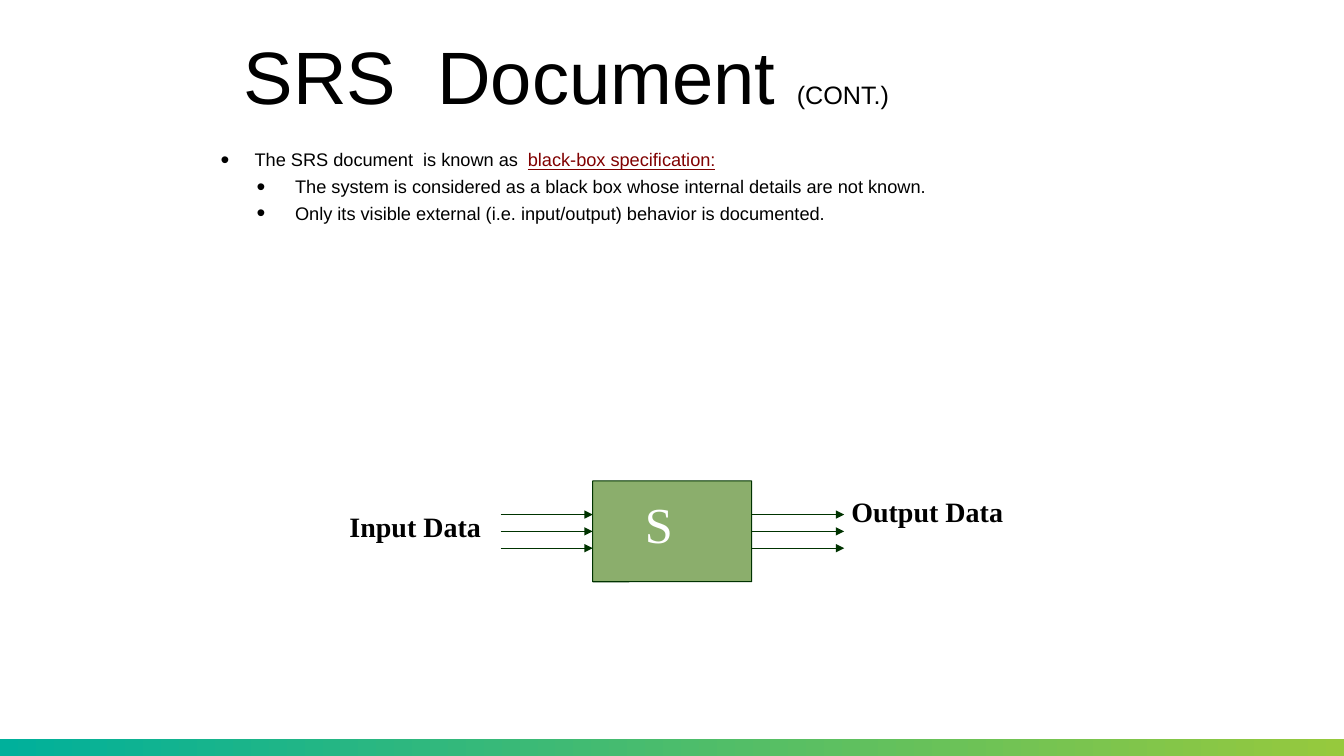
from dataclasses import dataclass

from lxml import etree
from pptx import Presentation
from pptx.dml.color import RGBColor
from pptx.enum import shapes, text
from pptx.oxml.ns import qn
from pptx.util import Cm, Pt


@dataclass(frozen=True)
class Theme:
    """Colours, fonts and type sizes of the slide."""
    ink: str = "000000"
    accent: str = "800000"
    line: str = "003300"
    system: str = "8BAE6C"
    white: str = "FFFFFF"
    bar: tuple = ("00B09B", "96C93D")
    sans: str = "Arial"
    serif: str = "Times New Roman"
    title: int = 53
    suffix: int = 18
    body: int = 13
    label: int = 20
    symbol: int = 36


THEME = Theme()


def rgb(value):
    """Turn a hex string into a colour."""
    return RGBColor.from_string(value)


def place(shape, left, top, width, height):
    """Position a shape, in centimetres."""
    shape.left, shape.top, shape.width, shape.height = map(Cm, (left, top, width, height))


def set_frame(frame, anchor=text.MSO_ANCHOR.TOP):
    """Give a text frame the shared margins and wrapping."""
    frame.word_wrap = True
    frame.auto_size = text.MSO_AUTO_SIZE.NONE
    frame.vertical_anchor = anchor
    frame.margin_left = frame.margin_right = Cm(0.05)
    frame.margin_top = frame.margin_bottom = Cm(0.13)


def style(para, font, size, color, spacing, before=0):
    """Set paragraph spacing and font."""
    para.alignment = text.PP_ALIGN.LEFT
    para.line_spacing = spacing
    para.space_before = Pt(before)
    para.font.name = font
    para.font.size = Pt(size)
    para.font.color.rgb = rgb(color)


def add_bullet(para, margin, hanging):
    """Give a paragraph a round bullet with a hanging indent."""
    props = para._p.get_or_add_pPr()
    props.set("marL", str(Cm(margin)))
    props.set("indent", str(-Cm(hanging)))
    color = etree.SubElement(props, qn("a:buClr"))
    etree.SubElement(color, qn("a:srgbClr"), val=THEME.ink)
    etree.SubElement(props, qn("a:buSzPct"), val="138000")
    etree.SubElement(props, qn("a:buFont"), typeface=THEME.sans)
    etree.SubElement(props, qn("a:buChar"), char="•")


def add_bar(page, left, top, width, height):
    """Draw the gradient bar at the foot of the page."""
    bar = page.shapes.add_shape(shapes.MSO_SHAPE.RECTANGLE, *map(Cm, (left, top, width, height)))
    bar.shadow.inherit = False
    bar.line.fill.background()
    bar.fill.gradient()
    bar.fill.gradient_angle = 0
    for stop, position, color in zip(bar.fill.gradient_stops, (0, 1), THEME.bar):
        stop.position = position
        stop.color.rgb = rgb(color)


def fill_title(page, *box):
    """Write the title with its small suffix."""
    title = page.shapes.title
    place(title, *box)
    set_frame(title.text_frame, text.MSO_ANCHOR.MIDDLE)
    para = title.text_frame.paragraphs[0]
    style(para, THEME.sans, THEME.title, THEME.ink, 0.9)
    for wording, size in (("SRS  Document ", THEME.title), ("(CONT.)", THEME.suffix)):
        span = para.add_run()
        span.text = wording
        span.font.size = Pt(size)


def fill_body(page, *box):
    """Write the bulleted list."""
    body = page.placeholders[1]
    place(body, *box)
    frame = body.text_frame
    set_frame(frame)
    lines = (
        (0, "The SRS document  is known as  "),
        (1, "The system is considered as a black box whose internal details are not known."),
        (1, "Only its visible external (i.e. input/output) behavior is documented."),
    )
    indents = ((0.86, 0.86), (1.88, 0.97))
    for index, (level, wording) in enumerate(lines):
        para = frame.add_paragraph() if index else frame.paragraphs[0]
        para.level = level
        add_bullet(para, *indents[level])
        style(para, THEME.sans, THEME.body, THEME.ink, 0.9, 4.9 if index else 0)
        para.add_run().text = wording
    term = frame.paragraphs[0].add_run()
    term.text = "black-box specification:"
    term.font.color.rgb = rgb(THEME.accent)
    term.font.underline = True


def add_label(page, wording, box, size, color, bold=False):
    """Add a serif text label."""
    label = page.shapes.add_textbox(*map(Cm, box))
    set_frame(label.text_frame)
    para = label.text_frame.paragraphs[0]
    para.text = wording
    style(para, THEME.serif, size, color, 0.85)
    para.font.bold = bold


def add_arrow(page, left, top, length):
    """Draw a horizontal arrow pointing right."""
    arrow = page.shapes.add_connector(
        shapes.MSO_CONNECTOR.STRAIGHT, Cm(left), Cm(top), Cm(left + length), Cm(top))
    arrow.line.color.rgb = rgb(THEME.line)
    arrow.line.width = Pt(0.75)
    etree.SubElement(arrow.line._get_or_add_ln(), qn("a:tailEnd"), type="triangle")
    etree.SubElement(arrow._element.spPr, qn("a:effectLst"))


def add_diagram(page, left, top, height):
    """Draw the system box with its inputs and outputs."""
    system = page.shapes.add_shape(
        shapes.MSO_SHAPE.ROUNDED_RECTANGLE, Cm(left + 6.18), Cm(top), Cm(4.01), Cm(height))
    system.adjustments[0] = 0.002
    system.shadow.inherit = False
    system.fill.solid()
    system.fill.fore_color.rgb = rgb(THEME.system)
    system.line.color.rgb = rgb(THEME.line)
    system.line.width = Pt(0.75)
    for start in (3.86, 10.2):
        for row in range(3):
            add_arrow(page, left + start, top + height / 3 + row * height / 6, 2.32)
    add_label(page, "S", (left + 7.45, top + 0.4, 1.91, 1.78), THEME.symbol, THEME.white)
    for wording, across, down, width in (
            ("Input Data", 0, 0.71, 3.58), ("Output Data", 12.65, 0.33, 4.01)):
        add_label(page, wording, (left + across, top + down, width, 1.96),
                  THEME.label, THEME.ink, True)


def main():
    """Build and save the slide."""
    deck = Presentation()
    deck.slide_width, deck.slide_height = Cm(33.88), Cm(19.05)
    page = deck.slides.add_slide(deck.slide_layouts[1])
    add_bar(page, 0, 18.62, 33.88, 0.43)
    fill_title(page, 6.1, 0.46, 21.67, 3.15)
    fill_body(page, 5.51, 3.68, 22.71, 12.78)
    add_diagram(page, 8.76, 12.12, 2.54)
    deck.save("out.pptx")


if __name__ == "__main__":
    main()
